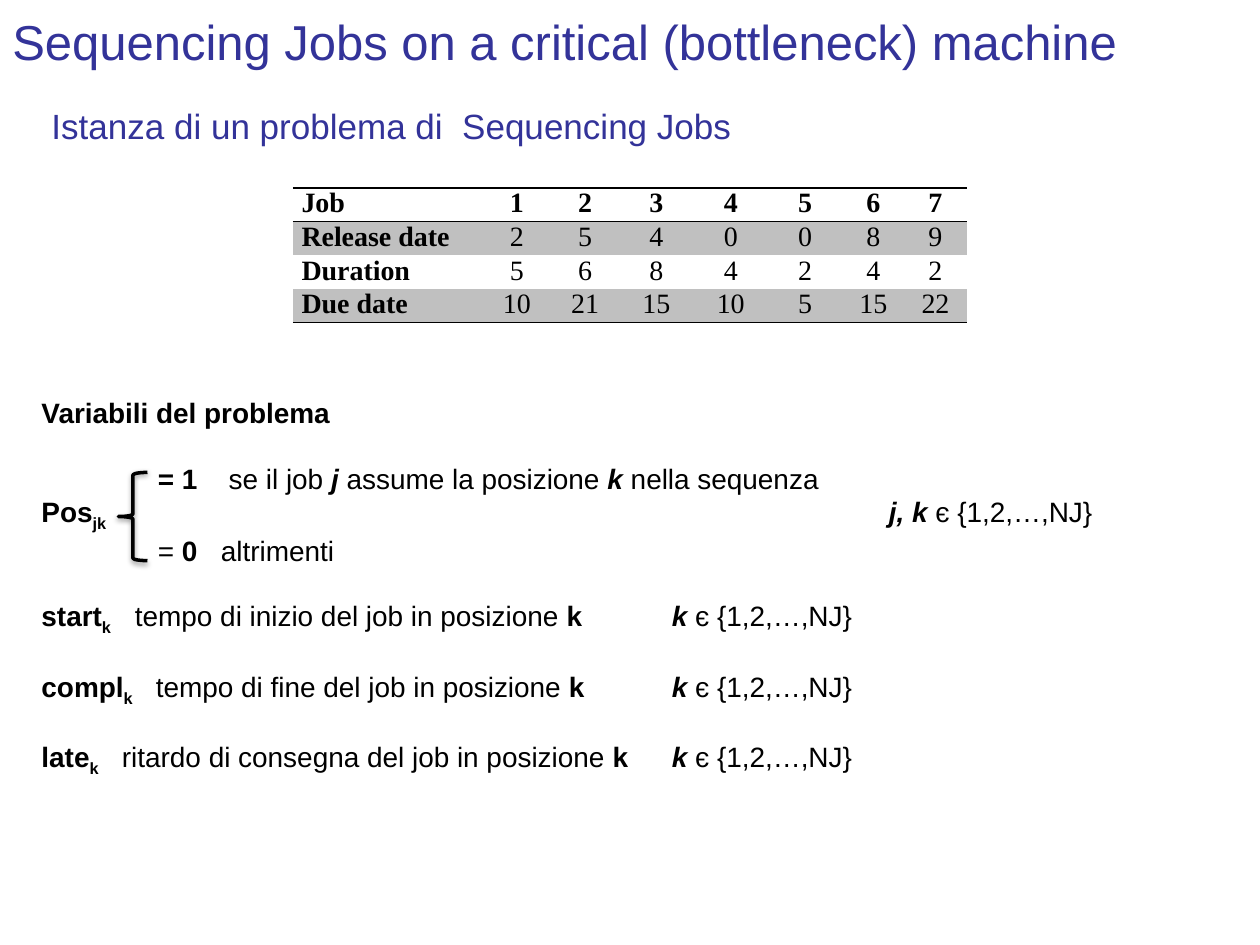
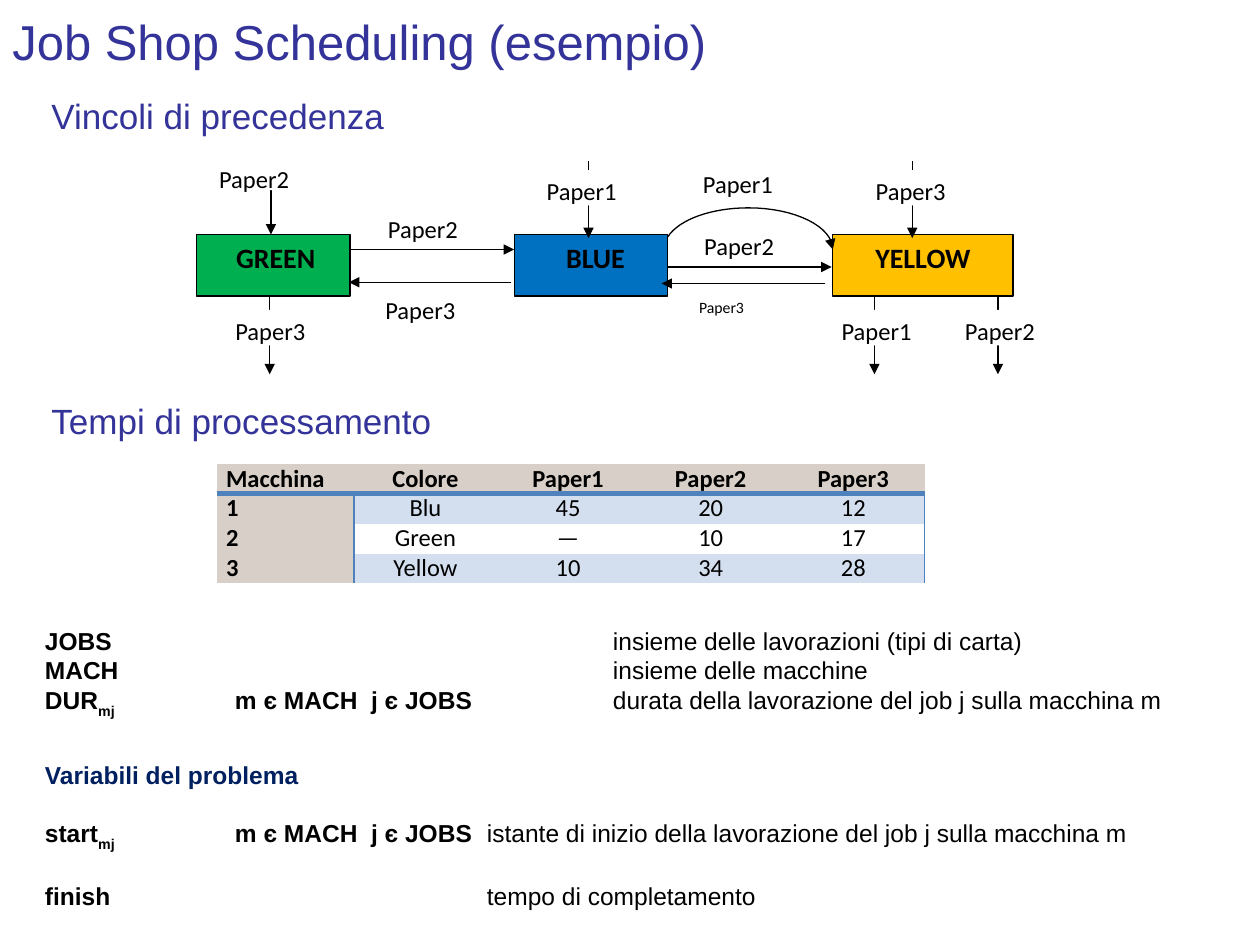
from collections import namedtuple
from dataclasses import dataclass

from lxml import etree
from pptx import Presentation
from pptx.dml.color import RGBColor
from pptx.enum.shapes import MSO_CONNECTOR, MSO_SHAPE
from pptx.enum.text import MSO_ANCHOR, PP_ALIGN
from pptx.oxml.ns import qn
from pptx.util import Pt

STRAIGHT = MSO_CONNECTOR.STRAIGHT
RECT, LEFT_BRACE = MSO_SHAPE.RECTANGLE, MSO_SHAPE.LEFT_BRACE
TOP, MIDDLE = MSO_ANCHOR.TOP, MSO_ANCHOR.MIDDLE
LEFT, CENTER = PP_ALIGN.LEFT, PP_ALIGN.CENTER

Box = namedtuple("Box", "x y w h")


@dataclass(frozen=True)
class Theme:
    heading: str = "333399"
    ink: str = "000000"
    paper: str = "FFFFFF"
    navy: str = "002060"
    grey: str = "C0C0C0"
    sand: str = "D8D0C8"
    pale_blue: str = "D3DFEE"
    rule_blue: str = "4F81BD"
    green: str = "00B050"
    blue: str = "0070C0"
    yellow: str = "FFC000"
    sans: str = "Arial"
    diagram: str = "Calibri"
    serif: str = "Times New Roman"
    title: int = 28
    subtitle: int = 20
    body: int = 16
    small: int = 14
    tiny: int = 9
    hairline: float = 0.75


T = Theme()


def rgb(color):
    return RGBColor.from_string(color)


def pts(*values):
    return [Pt(v) for v in values]


def style(r, font, size, color=T.ink, bold=False, italic=False):
    f = r.font
    f.name, f.size, f.bold, f.italic = font, Pt(size), bold, italic
    f.color.rgb = rgb(color)


def add_text(slide, box, text, size, color, anchor=TOP):
    tf = slide.shapes.add_textbox(*pts(*box)).text_frame
    tf.word_wrap = True
    tf.vertical_anchor = anchor
    tf.text = text
    style(tf.paragraphs[0].runs[0], T.sans, size, color)


def add_title(slide, text):
    add_text(slide, Box(0, -2.16, 720, 51.1), text, T.title, T.heading, MIDDLE)


def add_subtitle(slide, y, text):
    add_text(slide, Box(22.3, y, 658, 33.8), text, T.subtitle, T.heading)


def add_lines(slide, box, size, lines, drop=-25):
    tf = slide.shapes.add_textbox(*pts(*box)).text_frame
    tf.word_wrap = True
    for i, (before, tabs, parts, color) in enumerate(lines):
        p = tf.add_paragraph() if i else tf.paragraphs[0]
        p.space_before = Pt(before)
        for text, marks in parts:
            r = p.add_run()
            r.text = text
            style(r, T.sans, size, color, "b" in marks, "i" in marks)
            if "s" in marks:
                r._r.get_or_add_rPr().set("baseline", str(drop * 1000))
        if tabs:
            stops = etree.SubElement(p._p.get_or_add_pPr(), qn("a:tabLst"))
            for x in tabs:
                etree.SubElement(stops, qn("a:tab"), pos=str(Pt(x)), algn="l")


def set_borders(cell, edges):
    tcPr = cell._tc.get_or_add_tcPr()
    for i, side in enumerate("LRTB"):
        ln = etree.Element(qn("a:ln" + side))
        if side in edges:
            color, width = edges[side]
            ln.set("w", str(Pt(width)))
            fill = etree.SubElement(ln, qn("a:solidFill"))
            etree.SubElement(fill, qn("a:srgbClr"), val=color)
        else:
            etree.SubElement(ln, qn("a:noFill"))
        tcPr.insert(i, ln)


def add_grid(slide, x, y, widths, row_height, rows, font, size, inset, fill_of, edges_of):
    box = Box(x, y, sum(widths), row_height * len(rows))
    table = slide.shapes.add_table(len(rows), len(widths), *pts(*box)).table
    table.first_row = table.horz_banding = False
    for col, width in zip(table.columns, widths):
        col.width = Pt(width)
    for i, values in enumerate(rows):
        table.rows[i].height = Pt(row_height)
        for j, value in enumerate(values):
            cell = table.cell(i, j)
            cell.margin_left = cell.margin_right = Pt(inset)
            cell.margin_top = cell.margin_bottom = 0
            p = cell.text_frame.paragraphs[0]
            p.text = value
            p.alignment = CENTER if j else LEFT
            style(p.runs[0], font, size, bold=i == 0 or j == 0)
            color = fill_of(i, j)
            if color:
                cell.fill.solid()
                cell.fill.fore_color.rgb = rgb(color)
            else:
                cell.fill.background()
            set_borders(cell, edges_of(i, j))


def add_jobs_table(slide, x, y):
    rows = [
        ["Job", *"1234567"],
        ["Release date", *"2540089"],
        ["Duration", *"5684242"],
        ["Due date", "10", "21", "15", "10", "5", "15", "22"],
    ]
    rule = (T.ink, 1)

    def edges_of(i, j):
        return {0: {"T": rule, "B": rule}, 1: {"T": rule}, 3: {"B": rule}}.get(i, {})

    add_grid(slide, x, y, [108.6, 39, 39, 42.5, 42.5, 42.5, 35.5, 35.5], 19.2, rows,
             T.serif, T.body, 5, lambda i, j: T.grey if i % 2 else None, edges_of)


def add_times_table(slide, x, y):
    rows = [
        ["Macchina", "Colore", "Paper1", "Paper2", "Paper3"],
        ["1", "Blu", "45", "20", "12"],
        ["2", "Green", "—", "10", "17"],
        ["3", "Yellow", "10", "34", "28"],
    ]
    thick, thin = (T.rule_blue, 3), (T.rule_blue, 1)

    def fill_of(i, j):
        if i == 0 or j == 0:
            return T.sand
        return T.pale_blue if i % 2 else None

    def edges_of(i, j):
        if i == 0:
            return {"B": thick}
        edges = {"T": thick} if i == 1 else {}
        if j in (0, 4):
            edges["R"] = thin
        if j == 1:
            edges["L"] = thin
        return edges

    add_grid(slide, x, y, [78.6] + [81.5] * 4, 17.1, rows,
             T.diagram, T.small, 5.4, fill_of, edges_of)


def add_brace(slide, box):
    s = slide.shapes.add_shape(LEFT_BRACE, *pts(*box))
    s.shadow.inherit = False
    s.fill.background()
    s.line.color.rgb = rgb(T.ink)
    s.line.width = Pt(2)
    effects = s._element.spPr.find(qn("a:effectLst"))
    shadow = etree.SubElement(effects, qn("a:outerShdw"), blurRad=str(Pt(3.1)),
                              dist=str(Pt(1.6)), dir="5400000", rotWithShape="0")
    color = etree.SubElement(shadow, qn("a:srgbClr"), val=T.ink)
    etree.SubElement(color, qn("a:alpha"), val="38000")


def add_sequence_variables(slide, box):
    gap = 18.4
    domain = (" є {1,2,…,NJ}", "")

    def indexed(name, tab, meaning):
        parts = [(name, "b"), ("k", "bs"), ("\t" + meaning + " ", ""), ("k\t", "b"),
                 ("k", "bi"), domain]
        return gap, [tab, 360.2], parts, T.ink

    add_lines(slide, box, T.body, [
        (0, [], [("Variabili del problema", "b")], T.ink),
        (gap, [66.5, 107], [("\t= 1\t", "b"), ("se il job ", ""), ("j", "bi"),
                            (" assume la posizione ", ""), ("k", "bi"),
                            (" nella sequenza", "")], T.ink),
        (0, [484.2], [("Pos", "b"), ("jk", "bs"), ("\tj, k", "bi"), domain], T.ink),
        (0, [66.5, 102.5], [("\t= ", ""), ("0", "b"), ("\taltrimenti", "")], T.ink),
        indexed("start", 53.4, "tempo di inizio del job in posizione"),
        indexed("compl", 65.4, "tempo di fine del job in posizione"),
        indexed("late", 46, "ritardo di consegna del job in posizione"),
    ])
    add_brace(slide, Box(box.x + 51.1, box.y + 47.5, 16.6, 50.4))


def add_shop_sets(slide, box):
    tabs = [108.6, 324.6]
    add_lines(slide, box, T.small, [
        (0, tabs[1:], [("JOBS", "b"), ("\tinsieme delle lavorazioni (tipi di carta)", "")], T.ink),
        (0, tabs[1:], [("MACH", "b"), ("\tinsieme delle macchine", "")], T.ink),
        (0, tabs, [("DUR", "b"), ("mj", "bs"), ("\tm є MACH  j є JOBS", "b"),
                   ("\tdurata della lavorazione del job j sulla macchina m", "")], T.ink),
    ], -30)


def add_shop_variables(slide, box):
    tabs = [108.6, 252.6]
    add_lines(slide, box, T.small, [
        (0, [], [("Variabili del problema", "b")], T.navy),
        (16.5, tabs, [("start", "b"), ("mj", "bs"), ("\tm є MACH  j є JOBS", "b"),
                      ("\tistante di inizio della lavorazione del job j sulla macchina m", "")],
         T.ink),
        (16.5, tabs[1:], [("finish", "b"), ("\ttempo di completamento", "")], T.ink),
    ], -30)


def add_rect(slide, box, text, size, fill, bold=False):
    s = slide.shapes.add_shape(RECT, *pts(*box))
    s.shadow.inherit = False
    s.fill.solid()
    s.fill.fore_color.rgb = rgb(fill)
    s.line.fill.background()
    tf = s.text_frame
    tf.word_wrap = True
    tf.vertical_anchor = TOP
    tf.text = text
    tf.paragraphs[0].alignment = LEFT
    style(tf.paragraphs[0].runs[0], T.diagram, size, bold=bold)
    return s


def add_machine(slide, box, text, fill, nudge):
    s = add_rect(slide, box, text, T.body, fill, True)
    s.line.color.rgb = rgb(T.ink)
    s.line.width = Pt(T.hairline)
    s.text_frame.margin_left = Pt(7.2 + nudge)
    s.text_frame.paragraphs[0].alignment = CENTER


def style_arrow(line):
    line.color.rgb = rgb(T.ink)
    line.width = Pt(T.hairline)
    etree.SubElement(line._get_or_add_ln(), qn("a:tailEnd"), type="triangle")


def add_arrow(slide, x1, y1, x2, y2):
    c = slide.shapes.add_connector(STRAIGHT, *pts(x1, y1, x2, y2))
    style_arrow(c.line)
    etree.SubElement(c._element.spPr, qn("a:effectLst"))


def bezier(points, steps=16):
    for n in range(1, steps + 1):
        t = n / steps
        weights = ((1 - t) ** 3, 3 * t * (1 - t) ** 2, 3 * t * t * (1 - t), t ** 3)
        yield tuple(Pt(sum(w * p[k] for w, p in zip(weights, points))) for k in (0, 1))


def add_arc_arrow(slide, x, y):
    start, peak, end = (x, y + 16.6), (x + 46.1, y), (x + 94.3, y + 23.8)
    rise = [start, (x + 6.5, y + 6.5), (x + 25.2, y), peak]
    fall = [peak, (x + 72.7, y), (x + 94.3, y + 10.8), end]
    fb = slide.shapes.build_freeform(*pts(*start))
    fb.add_line_segments([*bezier(rise), *bezier(fall)], close=False)
    s = fb.convert_to_shape()
    s.shadow.inherit = False
    s.fill.background()
    style_arrow(s.line)


def add_precedence_diagram(slide, box):
    x, y = box.x, box.y
    for dx, width, name, fill, nudge in [(0, 87.8, "GREEN", T.green, 2.5),
                                         (181.5, 87.8, "BLUE", T.blue, 5),
                                         (363.6, 103, "YELLOW", T.yellow, 0)]:
        add_machine(slide, Box(x + dx, y + 44, width, 35.2), name, fill, nudge)
    for dx, dy in [(42.5, 0), (224, 2.1), (409, 2.1), (41.8, 79.9), (387.4, 79.9), (458, 79.9)]:
        add_arrow(slide, x + dx, y + dy, x + dx, y + dy + 44)
    for start, end, dy in [(87.8, 181.5, 52.6), (180, 87.1, 71.3),
                           (269.3, 362.9, 62.6), (359.3, 265.7, 72)]:
        add_arrow(slide, x + start, y + dy, x + end, y + dy)
    add_arc_arrow(slide, x + 269.3, y + 28.8)
    for name, dx, dy, size in [("Paper1", 193, 7.2, T.small), ("Paper3", 381, 7.2, T.small),
                               ("Paper3", 15.1, 87.1, T.small), ("Paper1", 361.5, 87.1, T.small),
                               ("Paper2", 432, 87.1, T.small), ("Paper2", 102.3, 28.8, T.small),
                               ("Paper3", 100.8, 74.9, T.small), ("Paper1", 282.3, 2.9, T.small),
                               ("Paper2", 283, 38.2, T.small), ("Paper3", 280.1, 76.3, T.tiny)]:
        add_rect(slide, Box(x + dx, y + dy, 57.6, 20.2), name, size, T.paper)
    add_rect(slide, Box(x + 5.8, y, 75.6, 18.7), "Paper2", T.small, T.paper)


def build_sequencing(slide):
    add_title(slide, "Sequencing Jobs on a critical (bottleneck) machine")
    add_subtitle(slide, 56.2, "Istanza di un problema di  Sequencing Jobs")
    add_jobs_table(slide, 167.3, 107.3)
    add_sequence_variables(slide, Box(16.6, 222.5, 686, 240))


def build_job_shop(slide):
    add_title(slide, "Job Shop Scheduling (esempio)")
    add_precedence_diagram(slide, Box(112.3, 90, 490, 124))
    add_times_table(slide, 123.8, 265)
    add_subtitle(slide, 50.4, "Vincoli di precedenza")
    add_subtitle(slide, 224.6, "Tempi di processamento")
    add_shop_sets(slide, Box(18.6, 354.2, 701, 58.3))
    add_shop_variables(slide, Box(18.6, 430.5, 701, 100))


def main():
    prs = Presentation()
    prs.slide_width, prs.slide_height = Pt(720), Pt(540)
    for build in (build_sequencing, build_job_shop):
        build(prs.slides.add_slide(prs.slide_layouts[6]))
    prs.save("out.pptx")


if __name__ == "__main__":
    main()
